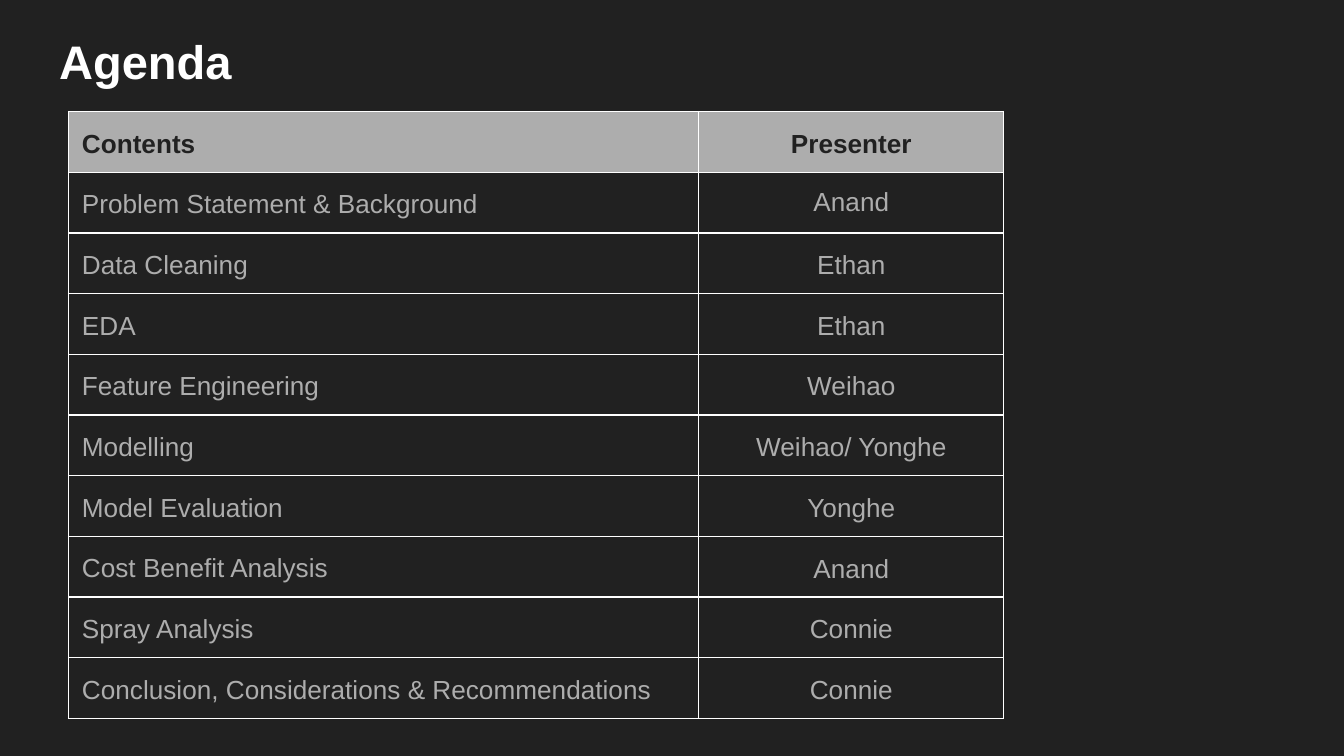
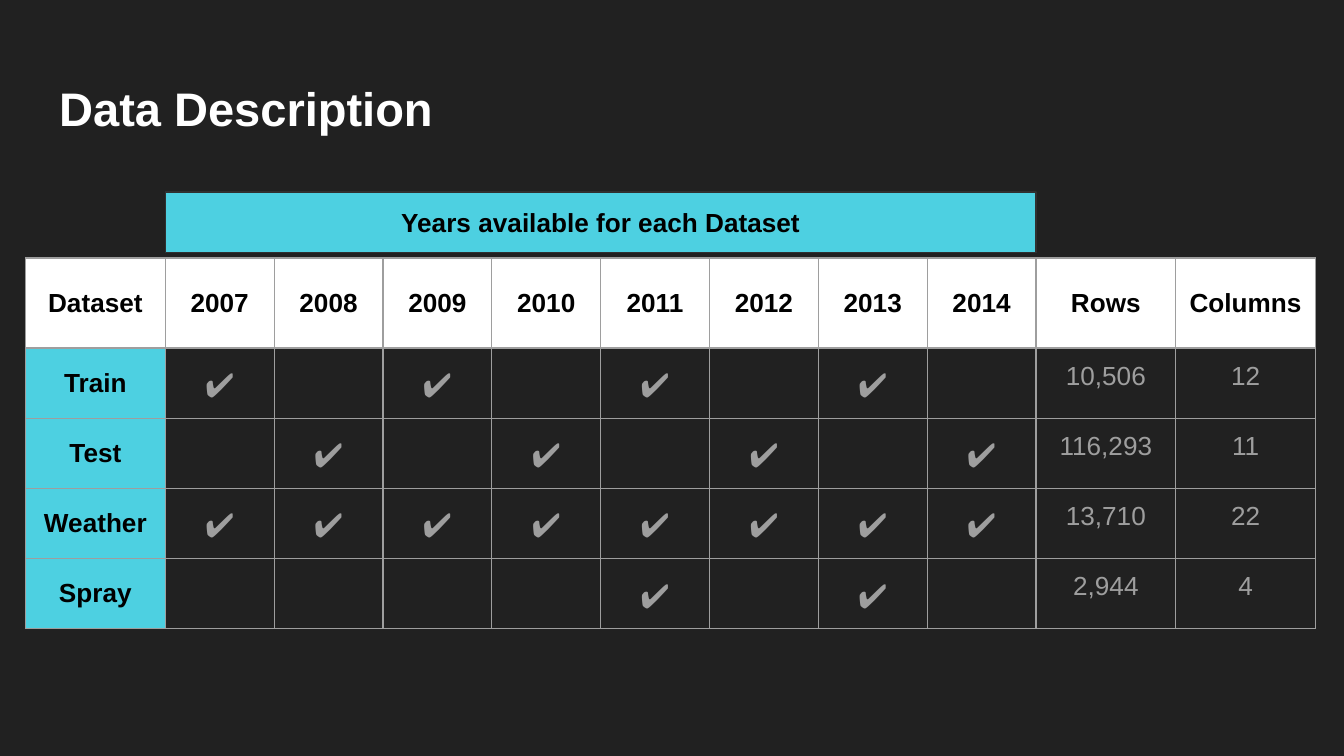
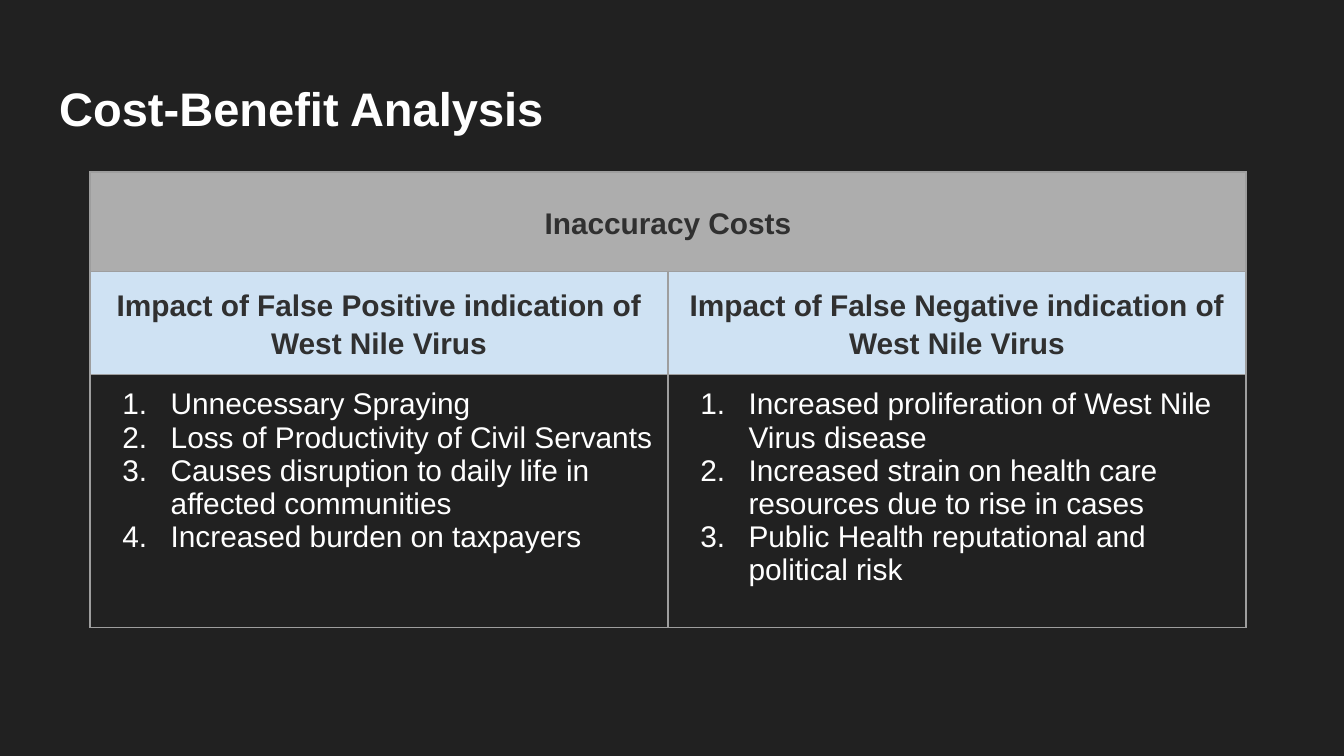
from lxml.etree import SubElement
from pptx import Presentation
from pptx.dml.color import RGBColor
from pptx.enum.shapes import MSO_SHAPE
from pptx.enum.text import MSO_ANCHOR, MSO_AUTO_SIZE, PP_ALIGN
from pptx.oxml.ns import qn
from pptx.util import Inches, Pt

DARK = RGBColor(0x21, 0x21, 0x21)
COAL = RGBColor(0x30, 0x30, 0x30)
BLACK = RGBColor(0, 0, 0)
WHITE = RGBColor(0xFF, 0xFF, 0xFF)
SILVER = RGBColor(0xAD, 0xAD, 0xAD)
GREY = RGBColor(0x9E, 0x9E, 0x9E)
CYAN = RGBColor(0x4D, 0xD0, 0xE1)
PALE = RGBColor(0xCF, 0xE2, 0xF3)
FONT = "Arial"
WIDTH = 10
HEIGHT = WIDTH * 9 / 16
MID = MSO_ANCHOR.MIDDLE
TOP = MSO_ANCHOR.TOP

AGENDA = [
    ("Contents", "Presenter"),
    ("Problem Statement & Background", "Anand"),
    ("Data Cleaning", "Ethan"),
    ("EDA", "Ethan"),
    ("Feature Engineering", "Weihao"),
    ("Modelling", "Weihao/ Yonghe"),
    ("Model Evaluation", "Yonghe"),
    ("Cost Benefit Analysis", "Anand"),
    ("Spray Analysis", "Connie"),
    ("Conclusion, Considerations & Recommendations", "Connie"),
]
YEARS = range(2007, 2015)
BAND = "Years available for each Dataset"
SETS = [
    ("Train", (2007, 2009, 2011, 2013), "10,506", "12"),
    ("Test", (2008, 2010, 2012, 2014), "116,293", "11"),
    ("Weather", YEARS, "13,710", "22"),
    ("Spray", (2011, 2013), "2,944", "4"),
]
COSTS = "Inaccuracy Costs"
IMPACTS = [
    ("Impact of False Positive indication of West Nile Virus", [
        "Unnecessary Spraying",
        "Loss of Productivity of Civil Servants",
        "Causes disruption to daily life in affected communities",
        "Increased burden on taxpayers",
    ]),
    ("Impact of False Negative indication of West Nile Virus", [
        "Increased proliferation of West Nile Virus disease",
        "Increased strain on health care resources due to rise in cases",
        "Public Health reputational and political risk",
    ]),
]


def add_slide(prs, title, top):
    slide = prs.slides.add_slide(prs.slide_layouts[5])
    box = slide.shapes.title
    box.left, box.top = Inches(0.34), Inches(top)
    box.width, box.height = Inches(9.32), Inches(0.63)
    pad(box.text_frame)
    box.text_frame.auto_size = MSO_AUTO_SIZE.NONE
    box.text_frame.vertical_anchor = TOP
    write(box.text_frame, [title], 25.2, WHITE, True, PP_ALIGN.LEFT)
    return slide


def pad(item):
    item.margin_left = item.margin_right = Inches(0.1)
    item.margin_top = item.margin_bottom = Inches(0.1)


def write(frame, lines, size, color, bold=False, align=PP_ALIGN.CENTER,
          space=None, after=None, count=False):
    for i, line in enumerate(lines):
        para = frame.paragraphs[0] if i == 0 else frame.add_paragraph()
        para.alignment = align
        if space:
            para.line_spacing = space
        if after:
            para.space_after = Pt(after)
        if count:
            number(para, color)
        run = para.add_run()
        run.text = line
        run.font.name, run.font.size = FONT, Pt(size)
        run.font.bold = bold
        run.font.color.rgb = color


def number(para, color):
    props = para._p.get_or_add_pPr()
    props.set("marL", str(Inches(0.5)))
    props.set("indent", str(Inches(-0.36)))
    tint = SubElement(props, qn("a:buClr"))
    SubElement(tint, qn("a:srgbClr"), val=str(color))
    SubElement(props, qn("a:buAutoNum"), type="arabicPeriod")


def add_grid(slide, left, top, cols, rows, edge):
    frame = slide.shapes.add_table(
        len(rows), len(cols), Inches(left), Inches(top),
        Inches(sum(cols)), Inches(sum(rows)))
    grid = frame.table
    grid.first_row = grid.horz_banding = False
    for col, width in zip(grid.columns, cols):
        col.width = Inches(width)
    for row, height in zip(grid.rows, rows):
        row.height = Inches(height)
    for cell in grid.iter_cells():
        pad(cell)
        props = cell._tc.get_or_add_tcPr()
        for side in ("lnL", "lnR", "lnT", "lnB"):
            line = SubElement(props, qn("a:" + side), w=str(Pt(0.75)))
            fill = SubElement(line, qn("a:solidFill"))
            SubElement(fill, qn("a:srgbClr"), val=str(edge))
        cell.fill.background()
    return grid


def put(cell, lines, size, color, fill=None, anchor=TOP, **style):
    cell.vertical_anchor = anchor
    if fill is not None:
        cell.fill.solid()
        cell.fill.fore_color.rgb = fill
    write(cell.text_frame, lines, size, color, **style)


def agenda(prs):
    slide = add_slide(prs, "Agenda", 0.14)
    grid = add_grid(slide, 0.51, 0.83, [4.69, 2.27],
                    [0.43] * len(AGENDA), WHITE)
    for r, (topic, name) in enumerate(AGENDA):
        head = r == 0
        color, fill = (DARK, SILVER) if head else (SILVER, None)
        put(grid.cell(r, 0), [topic], 14, color, fill, bold=head,
            align=PP_ALIGN.LEFT, space=1.15, after=12)
        loose = {} if r == 1 else {"space": 1.15, "after": 12}
        put(grid.cell(r, 1), [name], 14, color, fill, MID, bold=head, **loose)


def data(prs):
    slide = add_slide(prs, "Data Description", 0.49)
    left, top, wide, slim = 0.19, 1.92, 1.04, 0.81
    cols = [wide] + [slim] * len(YEARS) + [wide] * 2
    rows = [0.67] + [0.51] * len(SETS)
    grid = add_grid(slide, left, top, cols, rows, GREY)
    heads = ["Dataset", *map(str, YEARS), "Rows", "Columns"]
    for c, head in enumerate(heads):
        put(grid.cell(0, c), [head], 14, BLACK, WHITE, MID, bold=True)
    for r, (name, found, *sizes) in enumerate(SETS, 1):
        put(grid.cell(r, 0), [name], 14, BLACK, CYAN, MID, bold=True)
        for c, year in enumerate(YEARS, 1):
            if year in found:
                put(grid.cell(r, c), ["✔"], 18, GREY, bold=True, space=1.15)
        for c, size in enumerate(sizes, len(YEARS) + 1):
            put(grid.cell(r, c), [size], 14, GREY)

    band = slide.shapes.add_shape(
        MSO_SHAPE.RECTANGLE, Inches(left + wide), Inches(1.43),
        Inches(slim * len(YEARS)), Inches(0.45))
    band.shadow.inherit = False
    band.fill.solid()
    band.fill.fore_color.rgb = CYAN
    band.line.color.rgb = COAL
    band.line.width = Pt(0.75)
    pad(band.text_frame)
    band.text_frame.word_wrap = True
    band.text_frame.vertical_anchor = MID
    write(band.text_frame, [BAND], 14, BLACK, True)


def costs(prs):
    slide = add_slide(prs, "Cost-Benefit Analysis", 0.49)
    grid = add_grid(slide, 0.67, 1.28, [4.3] * 2, [0.74, 0.38, 1.88], GREY)
    grid.cell(0, 0).merge(grid.cell(0, 1))
    style = {"bold": True, "space": 1.15, "after": 12}
    put(grid.cell(0, 0), [COSTS], 16, COAL, SILVER, MID, **style)
    for c, (head, points) in enumerate(IMPACTS):
        put(grid.cell(1, c), [head], 16, COAL, PALE, **style)
        put(grid.cell(2, c), points, 16, WHITE, align=PP_ALIGN.LEFT,
            count=True)


def main():
    prs = Presentation()
    prs.slide_width, prs.slide_height = Inches(WIDTH), Inches(HEIGHT)
    back = prs.slide_master.background.fill
    back.solid()
    back.fore_color.rgb = DARK
    agenda(prs)
    data(prs)
    costs(prs)
    prs.save("out.pptx")


if __name__ == "__main__":
    main()
